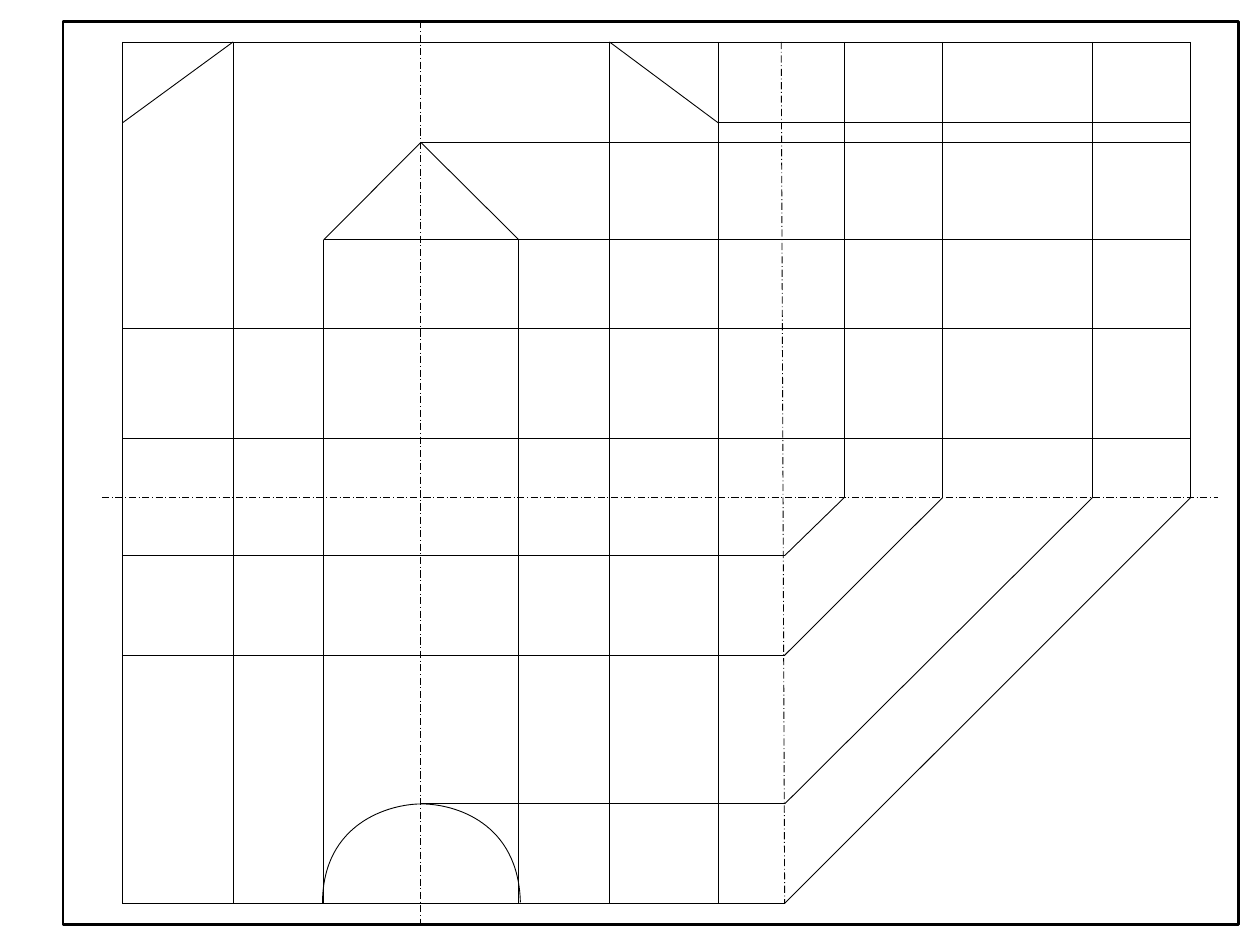
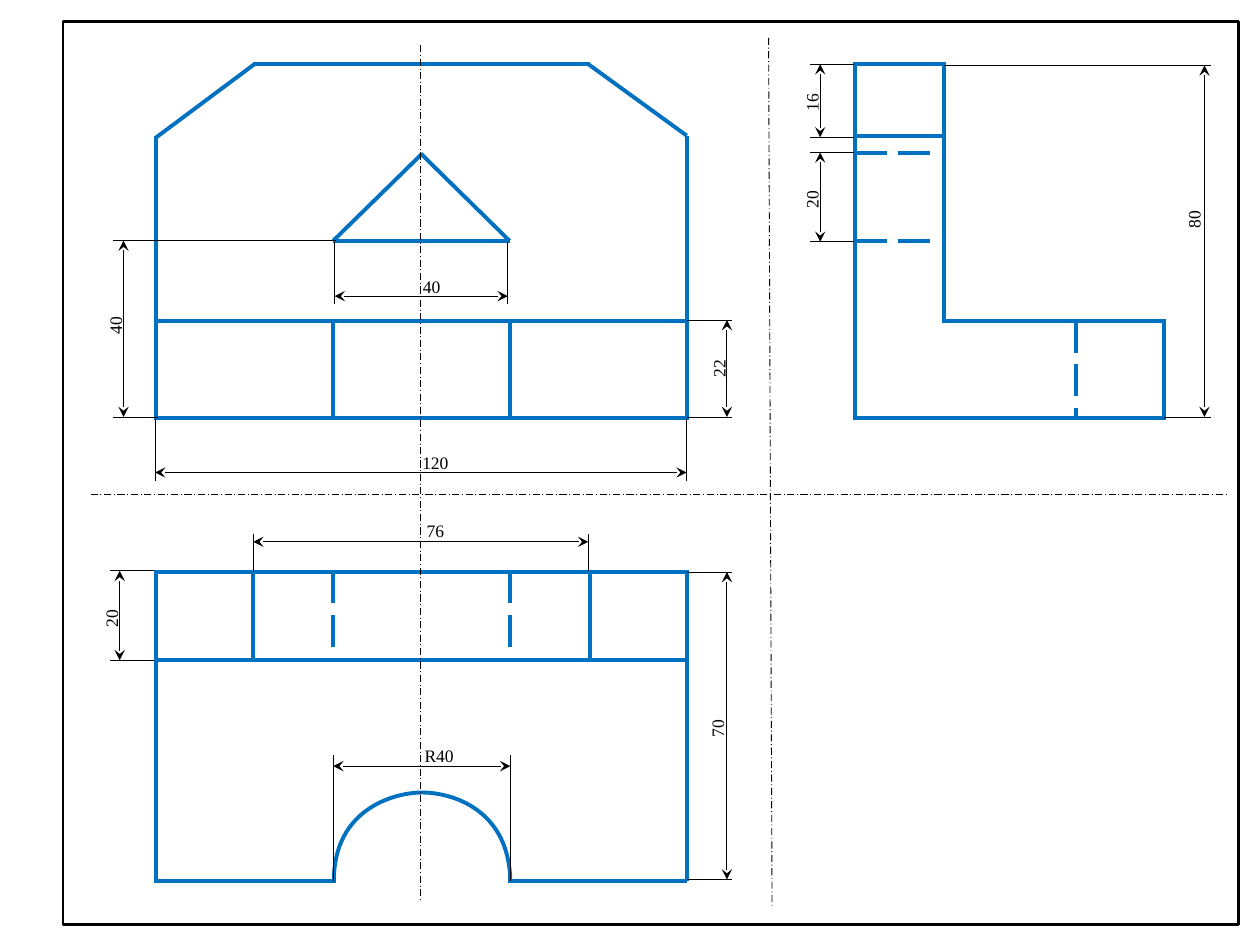
from dataclasses import dataclass
from typing import NamedTuple, Optional

from pptx import Presentation
from pptx.dml.color import RGBColor
from pptx.enum.dml import MSO_LINE_DASH_STYLE as Dash
from pptx.enum.shapes import MSO_CONNECTOR_TYPE as Connector, MSO_SHAPE as Preset
from pptx.enum.text import MSO_AUTO_SIZE as AutoSize, PP_ALIGN as Align
from pptx.oxml.ns import qn
from pptx.slide import Slide
from pptx.util import Pt
from lxml.etree import SubElement

BLACK = RGBColor(0x00, 0x00, 0x00)
WHITE = RGBColor(0xFF, 0xFF, 0xFF)
BLUE = RGBColor(0x00, 0x70, 0xC0)

LABEL_FONT = {"name": "Times New Roman", "size": Pt(10)}
LABEL_HEIGHT = 19.4
AXIS_X = 240.5  # symmetry axis of the front and top views
CORNER = 1.1  # half a thick stroke, closes the outline corners

# Half-round arch as two Bezier curves, in shares of its width and height
ARCH_CURVE = [(0, 1), (0, 0.19), (0.34, 0), (0.5, 0), (0.67, 0), (0.99, 0.19), (1, 0.99)]


@dataclass(frozen=True)
class Stroke:
    colour: RGBColor = BLACK
    width: float = 0.5
    dash: Optional[Dash] = None
    arrows: bool = False


class Segment(NamedTuple):
    x1: float
    y1: float
    x2: float
    y2: float


@dataclass(frozen=True)
class Dimension:
    """A measure from start to end; its extension lines run from the object to reach."""
    label: str
    vertical: bool
    start: float
    end: float
    line_at: float
    start_object: float
    end_object: float
    reach: float
    label_centre: tuple[float, float]


THIN = Stroke()
AXIS = Stroke(dash=Dash.LONG_DASH_DOT)
MEASURE = Stroke(arrows=True)
FRAME = Stroke(width=1.5)
OUTLINE = Stroke(BLUE, 2.25)
HIDDEN = Stroke(BLUE, 2.25, Dash.LONG_DASH)


def horizontal(y: float, left: float, right: float) -> Segment:
    return Segment(left, y, right, y)


def vertical(x: float, top: float, bottom: float) -> Segment:
    return Segment(x, top, x, bottom)


def apply_stroke(line, stroke: Stroke) -> None:
    line.color.rgb = stroke.colour
    line.width = Pt(stroke.width)
    if stroke.dash is not None:
        line.dash_style = stroke.dash


def draw_lines(page: Slide, stroke: Stroke, segments: list[Segment]) -> None:
    for segment in segments:
        connector = page.shapes.add_connector(
            Connector.STRAIGHT, *(Pt(value) for value in segment))
        apply_stroke(connector.line, stroke)
        properties = connector.element.spPr
        if stroke.arrows:
            for end in ("a:headEnd", "a:tailEnd"):
                SubElement(properties.find(qn("a:ln")), qn(end), type="stealth")
        SubElement(properties, qn("a:effectLst"))


def draw_frame(page: Slide) -> None:
    frame = page.shapes.add_shape(Preset.RECTANGLE, Pt(36), Pt(12.2), Pt(671.8), Pt(516))
    frame.shadow.inherit = False
    frame.fill.background()
    apply_stroke(frame.line, FRAME)


def draw_arch(page: Slide, stroke: Stroke, left: float, top: float,
              width: float, height: float) -> None:
    points = [(Pt(left + x * width), Pt(top + y * height)) for x, y in ARCH_CURVE]
    builder = page.shapes.build_freeform(*points[0])
    builder.add_line_segments(points[1:], close=False)
    arch = builder.convert_to_shape()
    arch.shadow.inherit = False
    arch.fill.solid()
    arch.fill.fore_color.rgb = WHITE
    apply_stroke(arch.line, stroke)

    # Every three straight steps become one Bezier curve
    outline = arch.element.find(".//" + qn("a:path"))
    steps = outline.findall(qn("a:lnTo"))
    for first in range(0, len(steps), 3):
        curve = SubElement(outline, qn("a:cubicBezTo"))
        for step in steps[first:first + 3]:
            curve.append(step[0])
            outline.remove(step)


def draw_label(page: Slide, dimension: Dimension) -> None:
    width = 26.6 if dimension.vertical else 31.5
    x, y = dimension.label_centre
    box = page.shapes.add_textbox(
        Pt(x - width / 2), Pt(y - LABEL_HEIGHT / 2), Pt(width), Pt(LABEL_HEIGHT))
    box.rotation = 270 if dimension.vertical else 0
    box.text_frame.word_wrap = True
    box.text_frame.auto_size = AutoSize.SHAPE_TO_FIT_TEXT
    para = box.text_frame.paragraphs[0]
    para.alignment = Align.LEFT if dimension.vertical else Align.CENTER
    span = para.add_run()
    span.text = dimension.label
    for name, value in LABEL_FONT.items():
        setattr(span.font, name, value)
    span.font.color.rgb = BLACK


def draw_dimension(page: Slide, dimension: Dimension) -> None:
    along, across = (vertical, horizontal) if dimension.vertical else (horizontal, vertical)
    draw_lines(page, THIN, [
        across(dimension.start, dimension.start_object, dimension.reach),
        across(dimension.end, dimension.end_object, dimension.reach),
    ])
    draw_lines(page, MEASURE, [along(dimension.line_at, dimension.start, dimension.end)])
    draw_label(page, dimension)


def build_construction_page(page: Slide) -> None:
    """Thin projection lines that tie the three views together."""
    left, right, far_right = 70, 410.4, 680.8
    chamfer_left, chamfer_right = 133.2, 348.3
    slot_left, slot_right = 185, 296.5
    top, chamfer_y, apex, slot_y = 24, 70.2, 81.4, 137
    step_y, base_y, fold_y, bottom = 187.9, 250.6, 284.4, 516.2
    fold_x = 448.4
    depths = {482.4: 317.5, 538.6: 374.4, 624.2: 459.4, 680.4: bottom}  # side x: top-view y

    draw_frame(page)
    draw_arch(page, THIN, 184.3, 459.4, 113.1, 56.8)
    draw_lines(page, AXIS, [
        Segment(446.4, top, fold_x, bottom),
        horizontal(fold_y, 58.3, 696.2),
        vertical(AXIS_X, 12.2, 528),
    ])
    draw_lines(page, THIN, [
        horizontal(y, left, right) for y in (top, step_y, base_y, 317.5, 374.4, bottom)])
    draw_lines(page, THIN, [
        horizontal(top, chamfer_right, far_right),
        horizontal(chamfer_y, right, far_right),
        horizontal(apex, AXIS_X, far_right),
        horizontal(slot_y, slot_right, far_right),
        horizontal(step_y, right, far_right),
        horizontal(base_y, right, far_right),
    ])
    draw_lines(page, THIN, [
        vertical(left, top, base_y),
        vertical(left, base_y, bottom),
        vertical(chamfer_left, top, bottom),
        vertical(slot_left, slot_y, bottom),
        vertical(slot_right, slot_y, bottom),
        vertical(chamfer_right, top, bottom),
        vertical(right, top, base_y),
        vertical(right, base_y, bottom),
    ])
    draw_lines(page, THIN, [
        horizontal(slot_y, slot_left, slot_right),
        Segment(AXIS_X, apex, slot_left, slot_y),
        Segment(AXIS_X, apex, slot_right, slot_y),
        Segment(chamfer_left, top, left, chamfer_y),
        Segment(right, chamfer_y, chamfer_right, top),
    ])
    for side_x, plan_y in depths.items():
        from_x = AXIS_X if plan_y == 459.4 else right
        draw_lines(page, THIN, [
            horizontal(plan_y, from_x, fold_x),
            vertical(side_x, top, fold_y),
            Segment(fold_x, plan_y, side_x, fold_y),
        ])


def draw_front_view(page: Slide) -> None:
    left, right, top, chamfer_y, step_y, base_y = 89.2, 392.4, 36.7, 77.5, 183.6, 239
    slot_left, slot_right, slot_y, apex = 190.4, 291.2, 137.6, 87.8
    draw_lines(page, OUTLINE, [
        horizontal(base_y, left - CORNER, right),
        horizontal(step_y, left, right),
        horizontal(top, 144.7, 337),
        vertical(left, chamfer_y, base_y + CORNER),
        vertical(right, chamfer_y, base_y + CORNER),
        Segment(145.4, top, left, chamfer_y + CORNER),
        Segment(right, chamfer_y, 336.2, top),
        horizontal(slot_y, slot_left, slot_right),
        Segment(241.2, apex, slot_left, slot_y),
        Segment(AXIS_X, apex, slot_right, slot_y),
        vertical(slot_left, step_y, base_y),
        vertical(slot_right, step_y, base_y),
    ])


def draw_top_view(page: Slide) -> None:
    left, right, top, wall_y, bottom = 89.2, 392.4, 326.9, 377.3, 503.3
    draw_arch(page, OUTLINE, 190.8, 452.9, 100.8, 50.4)
    draw_lines(page, OUTLINE, [
        horizontal(top, left - CORNER, right + CORNER),
        horizontal(wall_y, left, right),
        horizontal(bottom, left - CORNER, 192),
        horizontal(bottom, 290.4, right),
        vertical(left, top, bottom),
        vertical(right, top, bottom),
        vertical(144.7, top, wall_y),
        vertical(337, top, wall_y),
    ])
    draw_lines(page, HIDDEN, [vertical(x, top, wall_y) for x in (190.4, 291.6)])


def draw_side_view(page: Slide) -> None:
    left, wall_x, right, top, step_y, base_y = 488.8, 539.3, 665.3, 36.7, 183.6, 239
    draw_lines(page, OUTLINE, [
        horizontal(base_y, left, right),
        horizontal(step_y, wall_x - CORNER, right + CORNER),
        horizontal(77.9, left, wall_x),
        horizontal(top, left - CORNER, wall_x + CORNER),
        vertical(left, top, base_y + CORNER),
        vertical(wall_x, top, step_y),
        vertical(right, step_y, base_y + CORNER),
    ])
    draw_lines(page, HIDDEN, [
        horizontal(87.3, left, wall_x),
        horizontal(137.7, left, wall_x),
        vertical(614.9, step_y, base_y),
    ])


DIMENSIONS = [
    Dimension("20", True, 326.2, 377.3, 68.4, 88.2, 88.2, 62.6, (63.7, 352.4)),
    Dimension("120", False, 88.6, 392.4, 270, 239.4, 239.4, 275, (248.8, 264.6)),
    Dimension("76", False, 144.7, 336.2, 309.6, 326.2, 326.2, 304.9, (248.8, 303.5)),
    Dimension("40", True, 137.5, 238.3, 70.6, 192.2, 90, 64.8, (65.9, 184.7)),
    Dimension("16", True, 36.7, 78.5, 468.7, 488.2, 488.2, 463, (464, 57.2)),
    Dimension("40", False, 191.2, 290.2, 169.2, 138.2, 138.2, 173.5, (246.6, 163.8)),
    Dimension("20", True, 87.1, 138.2, 468.7, 488.2, 488.2, 463, (464, 112.7)),
    Dimension("22", True, 182.9, 238.3, 415.4, 392.4, 392.4, 418.3, (410.8, 209.2)),
    Dimension("80", True, 37.4, 238.3, 688.3, 539.3, 665.3, 692, (682.2, 124.2)),
    Dimension("70", True, 326.9, 502.6, 415.4, 392.4, 392.4, 418.3, (410, 415.1)),
    Dimension("R40", False, 190.4, 291.6, 437.8, 503.3, 503.3, 431.6, (250.9, 431.6)),
]


def build_dimensioned_page(page: Slide) -> None:
    """Finished front, top and side views with their measures."""
    draw_frame(page)
    draw_top_view(page)
    draw_front_view(page)
    draw_side_view(page)
    draw_lines(page, AXIS, [
        Segment(439.2, 21.6, 441.2, 518.4),
        horizontal(282.4, 51.8, 700.8),
        vertical(AXIS_X, 25.9, 515.5),
    ])
    for dimension in DIMENSIONS:
        draw_dimension(page, dimension)


def main() -> None:
    deck = Presentation()
    deck.slide_width, deck.slide_height = Pt(720), Pt(540)
    blank = deck.slide_layouts[6]
    for build in (build_construction_page, build_dimensioned_page):
        build(deck.slides.add_slide(blank))
    deck.save("out.pptx")


if __name__ == "__main__":
    main()
